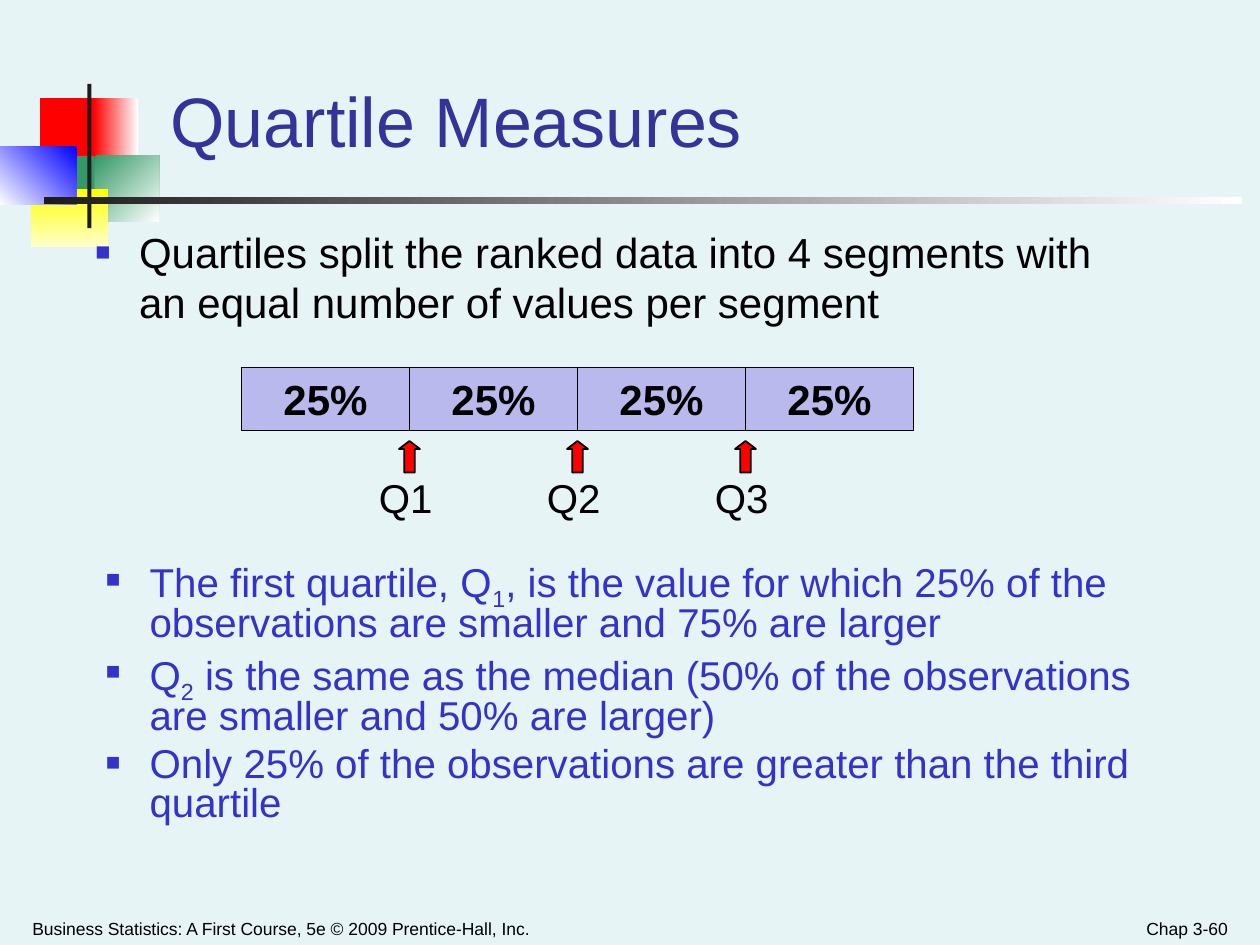
from dataclasses import dataclass
from typing import NamedTuple

from lxml.etree import SubElement
from pptx import Presentation
from pptx.dml.color import RGBColor as RGB
from pptx.enum.shapes import MSO_SHAPE as SHAPE
from pptx.enum.text import MSO_ANCHOR as ANCHOR, PP_ALIGN as ALIGN
from pptx.oxml.ns import qn
from pptx.util import Pt


@dataclass(frozen=True)
class Theme:
    font: str = "Arial"
    background: str = "E7F4F5"
    ink: str = "000000"
    title: str = "333399"
    accent: str = "3333CC"
    segment: str = "B9B9ED"
    arrow: str = "FF0000"
    title_size: float = 40
    body_size: float = 24
    detail_size: float = 23
    footer_size: float = 10


class Box(NamedTuple):
    left: float
    top: float
    width: float
    height: float


class Block(NamedTuple):
    box: Box
    start: str
    end: str = ""
    angle: float = 0


class Run(NamedTuple):
    text: str
    baseline: int = 0


@dataclass(frozen=True)
class TextStyle:
    size: float
    color: str
    bold: bool = False
    align: ALIGN = ALIGN.LEFT
    anchor: ANCHOR = ANCHOR.TOP
    line_spacing: float = 1.0
    space_before: float = 0
    bullet: bool = False


THEME = Theme()
TITLE = TextStyle(THEME.title_size, THEME.title, anchor=ANCHOR.BOTTOM)
BODY = TextStyle(THEME.body_size, THEME.ink, bullet=True)
DETAIL = TextStyle(THEME.detail_size, THEME.accent, line_spacing=0.8,
                   space_before=5.8, bullet=True)
LABEL = TextStyle(THEME.detail_size, THEME.ink, line_spacing=0.9)
SEGMENT = TextStyle(THEME.body_size, THEME.ink, bold=True,
                    align=ALIGN.CENTER, anchor=ANCHOR.MIDDLE)
FOOTER = TextStyle(THEME.footer_size, THEME.ink, anchor=ANCHOR.BOTTOM)
PAGE = TextStyle(THEME.footer_size, THEME.ink, align=ALIGN.RIGHT, anchor=ANCHOR.BOTTOM)

DECORATION = [
    Block(Box(23, 56, 34.5, 37.5), "FF0000"),
    Block(Box(53.5, 56, 25.5, 37.5), "FF0000", "FFFFFF"),
    Block(Box(54, 89, 37, 37.5), "339966", "FFFFFF", 45),
    Block(Box(31, 89, 23, 37.5), "339966"),
    Block(Box(18, 108, 44, 33), "FFFF00", "FFFFCC", 90),
    Block(Box(0, 83.5, 44, 33.5), "FFFFFF", "0000FF", 315),
    Block(Box(50, 48, 2.2, 82.5), "1C1C1C"),
    Block(Box(25, 112.5, 684.5, 4), "1C1C1C", "FFFFFF"),
]
BODY_TEXT = [[Run("Quartiles split the ranked data into 4 segments with "
                  "an equal number of values per segment")]]
DETAIL_TEXT = [
    [Run("The first quartile, Q"), Run("1", -25000),
     Run(", is the value for which 25% of the observations are smaller and 75% are larger")],
    [Run("Q"), Run("2", -25000),
     Run(" is the same as the median (50% of the observations are smaller and 50% are larger)")],
    [Run("Only 25% of the observations are greater than the third quartile")],
]
BAR = Box(138, 210, 96, 36)
ARROW_TOP, ARROW_LENGTH, ARROW_WIDTH = 255, 18, 12
LABEL_TOP, LABEL_WIDTH, LABEL_HEIGHT = 270, 48, 36
INDENT = 25


def apply(target, values: dict) -> None:
    for name, value in values.items():
        setattr(target, name, value)


def add_bullet(p) -> None:
    pPr = p._p.get_or_add_pPr()
    pPr.set("marL", str(Pt(INDENT)))
    pPr.set("indent", str(-Pt(INDENT)))
    color = SubElement(pPr, qn("a:buClr"))
    SubElement(color, qn("a:srgbClr"), val=THEME.accent)
    SubElement(pPr, qn("a:buSzPct"), val="60000")
    SubElement(pPr, qn("a:buFont"), typeface=THEME.font)
    SubElement(pPr, qn("a:buChar"), char="■")


def write(sp, paragraphs: list[list[Run]], style: TextStyle) -> None:
    tf = sp.text_frame
    apply(tf, {"word_wrap": True, "vertical_anchor": style.anchor,
               "margin_left": Pt(6.5), "margin_right": Pt(6.5),
               "margin_top": Pt(3.5), "margin_bottom": Pt(3.5)})
    for i, runs in enumerate(paragraphs):
        p = tf.add_paragraph() if i else tf.paragraphs[0]
        if style.bullet:
            add_bullet(p)
        apply(p, {"alignment": style.align, "line_spacing": style.line_spacing,
                  "space_before": Pt(style.space_before if i else 0)})
        for run in runs:
            r = p.add_run()
            r.text = run.text
            apply(r.font, {"name": THEME.font, "size": Pt(style.size), "bold": style.bold})
            r.font.color.rgb = RGB.from_string(style.color)
            if run.baseline:
                r.font._element.set("baseline", str(run.baseline))


def add_text(s, box: Box, paragraphs: list[list[Run]], style: TextStyle) -> None:
    write(s.shapes.add_textbox(*map(Pt, box)), paragraphs, style)


def add_block(s, block: Block, outline: str = "", kind: SHAPE = SHAPE.RECTANGLE):
    sp = s.shapes.add_shape(kind, *map(Pt, block.box))
    sp.shadow.inherit = False
    if block.end:
        sp.fill.gradient()
        sp.fill.gradient_angle = -block.angle % 360
        for stop, color in zip(sp.fill.gradient_stops, (block.start, block.end)):
            stop.color.rgb = RGB.from_string(color)
    else:
        sp.fill.solid()
        sp.fill.fore_color.rgb = RGB.from_string(block.start)
    if outline:
        sp.line.color.rgb = RGB.from_string(outline)
        sp.line.width = Pt(1)
    else:
        sp.line.fill.background()
    return sp


def add_quartile(s, number: int) -> None:
    x = BAR.left + number * BAR.width
    box = Box(x - ARROW_LENGTH / 2, ARROW_TOP, ARROW_LENGTH, ARROW_WIDTH)
    sp = add_block(s, Block(box, THEME.arrow), THEME.ink, SHAPE.RIGHT_ARROW)
    sp.rotation = 270
    sp.adjustments[1] = 0.38
    label = Box(x - LABEL_WIDTH / 2, LABEL_TOP, LABEL_WIDTH, LABEL_HEIGHT)
    add_text(s, label, [[Run(f"Q{number}")]], LABEL)


def main() -> None:
    prs = Presentation()
    apply(prs, {"slide_width": Pt(720), "slide_height": Pt(540)})
    s = prs.slides.add_slide(prs.slide_layouts[6])
    s.background.fill.solid()
    s.background.fill.fore_color.rgb = RGB.from_string(THEME.background)

    for block in DECORATION:
        add_block(s, block)
    add_text(s, Box(12, 515, 366, 25),
             [[Run("Business Statistics: A First Course, 5e © 2009 Prentice-Hall, Inc.")]], FOOTER)
    add_text(s, Box(540, 515, 168, 25), [[Run("Chap 3-60")]], PAGE)
    add_text(s, Box(91, 18, 581, 78), [[Run("Quartile Measures")]], TITLE)
    add_text(s, Box(48, 126, 588, 75), BODY_TEXT, BODY)

    for i in range(4):
        box = BAR._replace(left=BAR.left + i * BAR.width)
        write(add_block(s, Block(box, THEME.segment), THEME.ink), [[Run("25%")]], SEGMENT)
    for number in range(1, 4):
        add_quartile(s, number)
    add_text(s, Box(54, 318, 630, 174), DETAIL_TEXT, DETAIL)

    prs.save("out.pptx")


if __name__ == "__main__":
    main()
